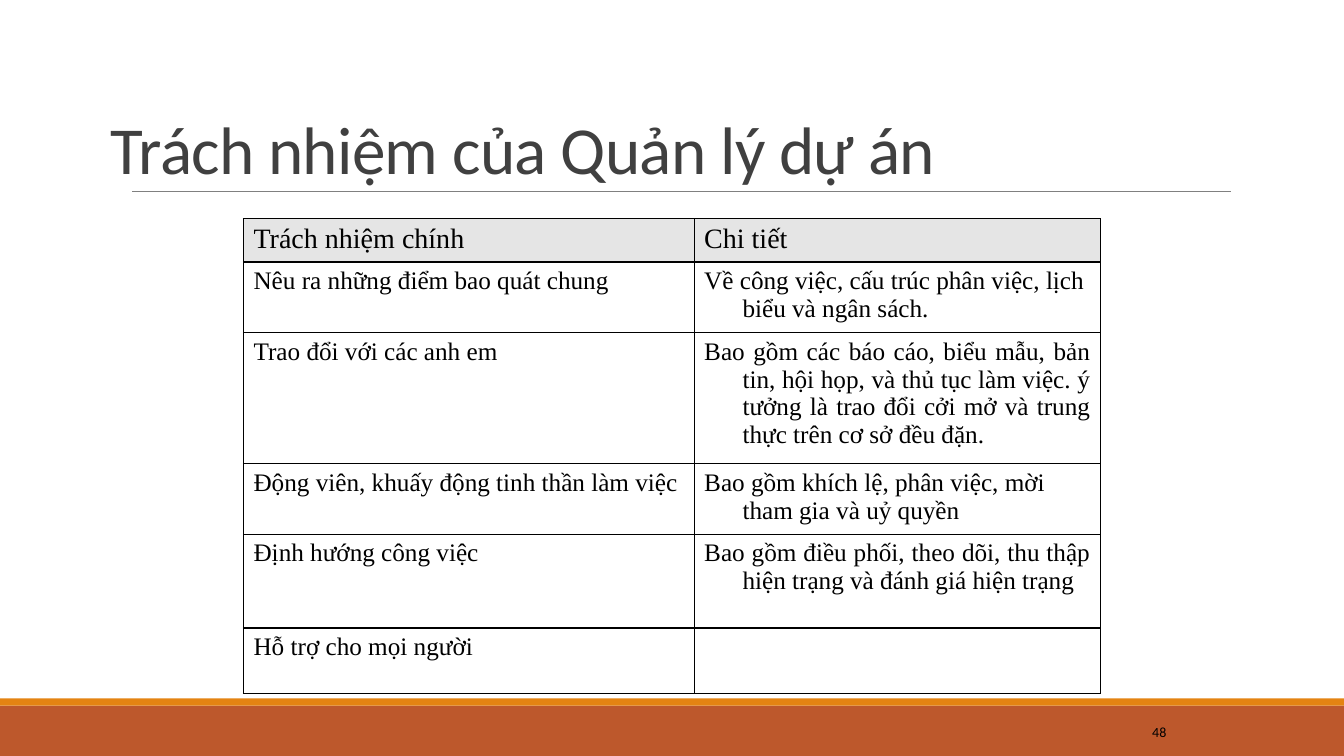
import pptx
import pptx.util
from pptx.dml.color import RGBColor
from pptx.enum.shapes import MSO_CONNECTOR, MSO_SHAPE
from pptx.enum.text import MSO_ANCHOR, MSO_AUTO_SIZE, PP_ALIGN
from pptx.oxml.ns import qn
from lxml import etree

# Content: each cell is (text, justified)
TITLE = "Trách nhiệm của Quản lý dự án"
PAGE = "48"
ROWS = [
    [("Trách nhiệm chính", False), ("Chi tiết", False)],
    [("Nêu ra những điểm bao quát chung", False),
     ("Về công việc, cấu trúc phân việc, lịch biểu và ngân sách.", False)],
    [("Trao đổi với các anh em", False),
     ("Bao gồm các báo cáo, biểu mẫu, bản tin, hội họp, và thủ tục làm việc. "
      "ý tưởng là trao đổi cởi mở và trung thực trên cơ sở đều đặn.", True)],
    [("Động viên, khuấy động tinh thần làm việc", True),
     ("Bao gồm khích lệ, phân việc, mời tham gia và uỷ quyền", False)],
    [("Định hướng công việc", False),
     ("Bao gồm điều phối, theo dõi, thu thập hiện trạng và đánh giá hiện trạng", True)],
    [("Hỗ trợ cho mọi người", True), ("", False)],
]

# Layout and style
W, H = 13.33, 7.5
COL_W = [4.47, 4.03]
ROW_H = [0.43, 0.7, 1.3, 0.7, 0.93, 0.65]
TABLE_TOP = 2.17
FOOT_H, STRIPE_H = 0.5, 0.07
HANG = 0.38
COLORS = {"foot": "BD582C", "stripe": "E48312", "rule": "808080", "title": "404040",
          "text": "000000", "head": "E5E5E5", "body": "FFFFFF"}
HEAD_FONT, BODY_FONT = "Calibri", "Times New Roman"

inch, pt = pptx.util.Inches, pptx.util.Pt


def rgb(name):
    return RGBColor.from_string(COLORS[name])


def add_run(p, text, font, size, color):
    r = p.add_run()
    r.text = text
    r.font.name, r.font.size = font, pt(size)
    r.font.color.rgb = rgb(color)
    return r


def add_band(s, top, height, color):
    sp = s.shapes.add_shape(MSO_SHAPE.RECTANGLE, 0, inch(top), inch(W), inch(height))
    sp.shadow.inherit = False
    sp.fill.solid()
    sp.fill.fore_color.rgb = rgb(color)
    sp.line.fill.background()


def add_borders(cell):
    tcPr = cell._tc.get_or_add_tcPr()
    for side in ("a:lnL", "a:lnR", "a:lnT", "a:lnB"):
        ln = etree.SubElement(tcPr, qn(side), w=str(pt(1)))
        fill = etree.SubElement(ln, qn("a:solidFill"))
        etree.SubElement(fill, qn("a:srgbClr"), val=COLORS["text"])


def fill_cell(cell, text, justified, header):
    add_borders(cell)
    cell.fill.solid()
    cell.fill.fore_color.rgb = rgb("head" if header else "body")
    p = cell.text_frame.paragraphs[0]
    pPr = p._p.get_or_add_pPr()
    pPr.set("marL", str(inch(HANG)))
    pPr.set("indent", str(-inch(HANG)))
    p.alignment = PP_ALIGN.JUSTIFY if justified else PP_ALIGN.LEFT
    if text:
        add_run(p, text, BODY_FONT, 20 if header else 18, "text")


prs = pptx.Presentation()
prs.slide_width, prs.slide_height = inch(W), inch(H)
s = prs.slides.add_slide(prs.slide_layouts[5])

# Footer bands and title rule
add_band(s, H - FOOT_H, FOOT_H, "foot")
add_band(s, H - FOOT_H - STRIPE_H, STRIPE_H, "stripe")
rule = s.shapes.add_connector(MSO_CONNECTOR.STRAIGHT, inch(1.31), inch(1.9), inch(12.21), inch(1.9))
rule.line.color.rgb = rgb("rule")
rule.line.width = pt(0.5)
etree.SubElement(rule._element.spPr, qn("a:effectLst"))

# Title
title = s.shapes.title
title.left, title.top, title.width, title.height = map(inch, (1, 0.67, 11.78, 1.25))
tf = title.text_frame
tf.auto_size = MSO_AUTO_SIZE.NONE
tf.vertical_anchor = MSO_ANCHOR.BOTTOM
p = tf.paragraphs[0]
p.alignment, p.line_spacing = PP_ALIGN.LEFT, 0.85
r = add_run(p, TITLE, HEAD_FONT, 48, "title")
r.font._element.set("spc", "-50")

# Table, centred on the slide
table_w = sum(COL_W)
table = s.shapes.add_table(len(ROW_H), len(COL_W), inch((W - table_w) / 2), inch(TABLE_TOP),
                           inch(table_w), inch(sum(ROW_H))).table
for col, width in zip(table.columns, COL_W):
    col.width = inch(width)
for i, (row, height) in enumerate(zip(table.rows, ROW_H)):
    row.height = inch(height)
    for cell, (text, justified) in zip(row.cells, ROWS[i]):
        fill_cell(cell, text, justified, header=i == 0)

# Page number
tf = s.shapes.add_textbox(inch(10.83), inch(7.06), inch(1.43), inch(0.4)).text_frame
tf.word_wrap = True
tf.vertical_anchor = MSO_ANCHOR.MIDDLE
p = tf.paragraphs[0]
p._p.get_or_add_pPr().set("marL", str(inch(0.5)))
add_run(p, PAGE, HEAD_FONT, 10, "text")

prs.save("out.pptx")
